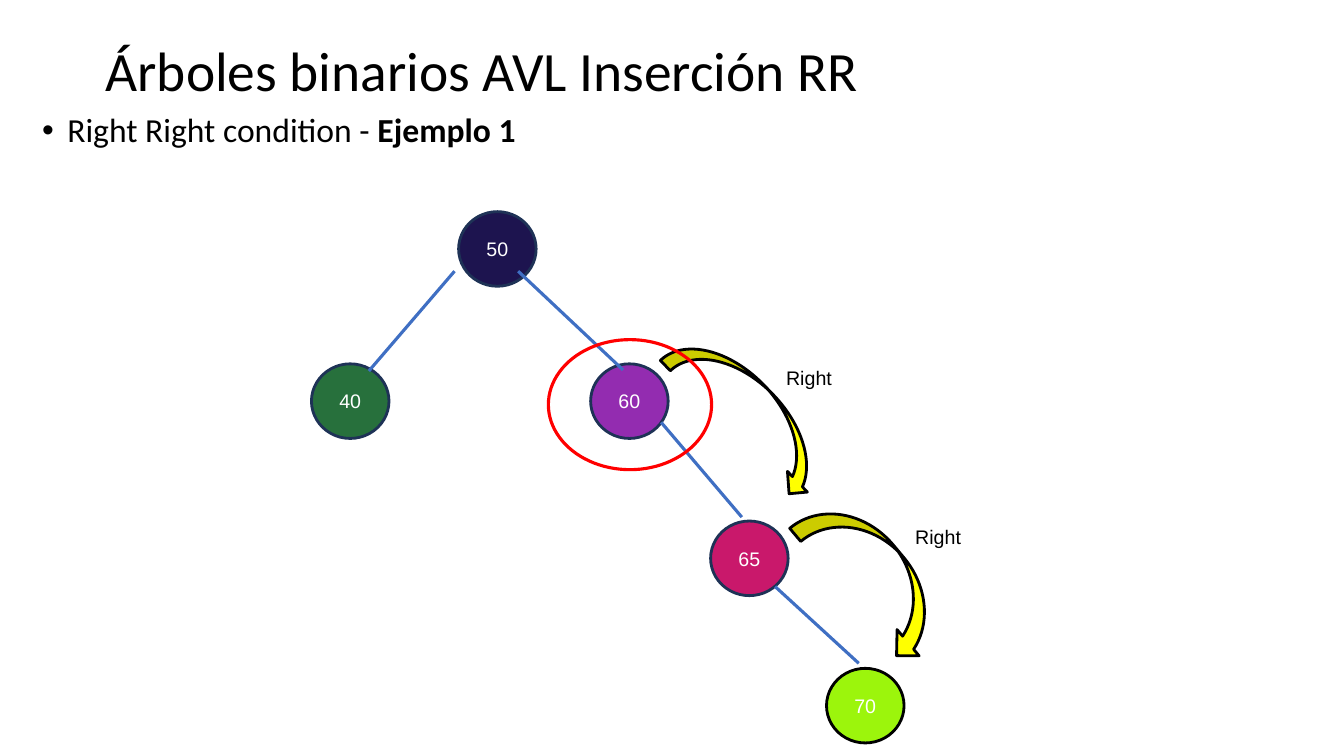
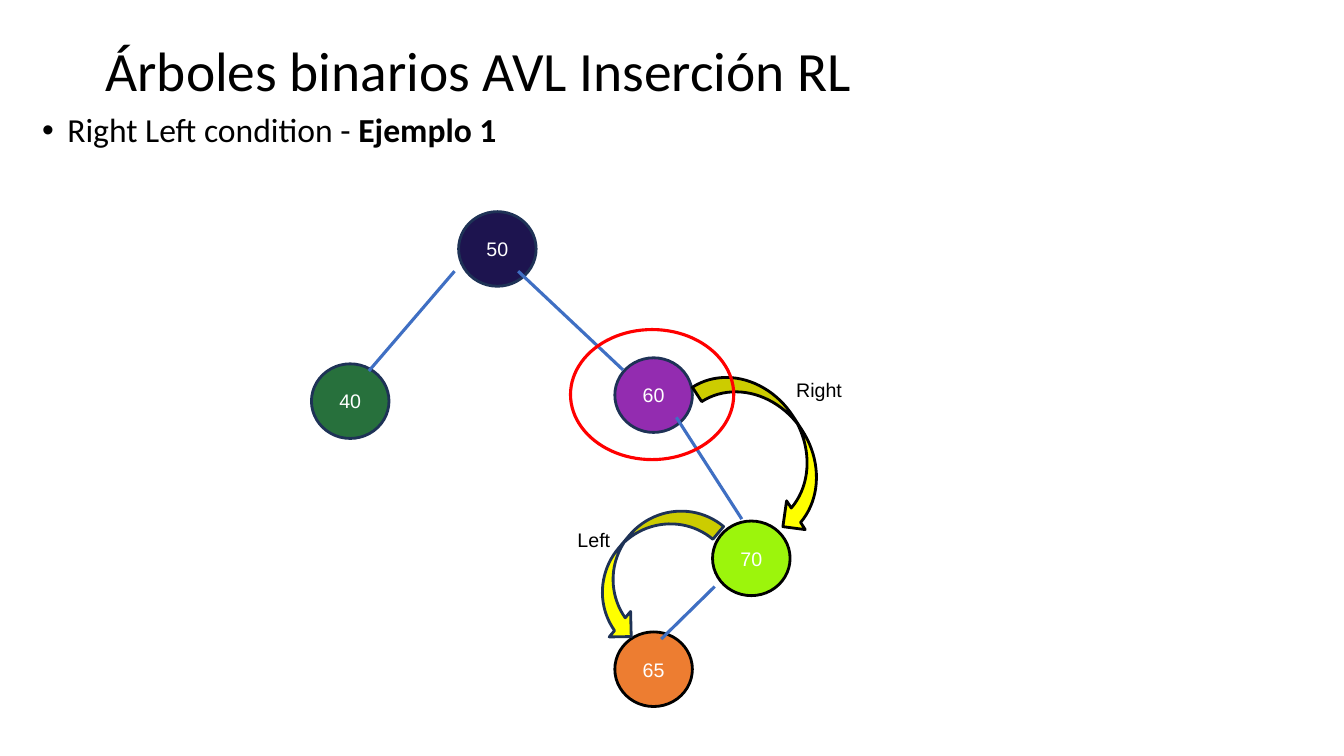
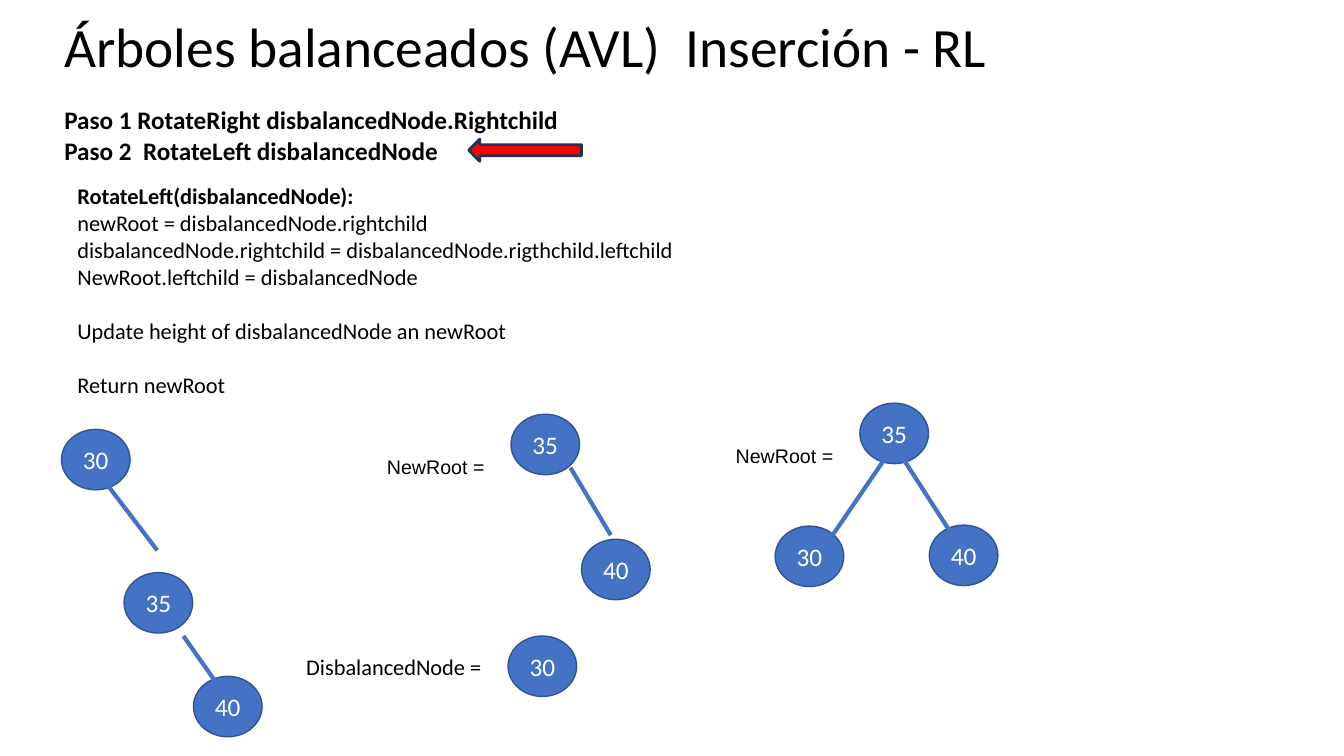
from pptx import Presentation
from pptx.dml.color import RGBColor
from pptx.enum.shapes import MSO_CONNECTOR, MSO_SHAPE
from pptx.enum.text import MSO_ANCHOR, PP_ALIGN
from pptx.oxml.ns import qn
from pptx.util import Pt
from lxml import etree

OVAL, NODE = MSO_SHAPE.OVAL, MSO_SHAPE.FLOWCHART_CONNECTOR
BACK, LEFT, UP = MSO_SHAPE.LEFT_ARROW, MSO_SHAPE.CURVED_LEFT_ARROW, MSO_SHAPE.CURVED_UP_ARROW
STRAIGHT = MSO_CONNECTOR.STRAIGHT
TOP, MIDDLE = MSO_ANCHOR.TOP, MSO_ANCHOR.MIDDLE
CENTER, JUSTIFY, START = PP_ALIGN.CENTER, PP_ALIGN.JUSTIFY, PP_ALIGN.LEFT

BLACK, WHITE, RED, YELLOW = "000000", "FFFFFF", "FF0000", "FFFF00"
NAVY, BLUE, RIM, EDGE = "1E3256", "4472C4", "31538F", "3F6FC3"
INDIGO, GREEN, PURPLE, PINK = "1D144F", "27703C", "932CB0", "C9186B"
LIME, ORANGE = "9CF50C", "ED7D31"
SANS, BODY = "Arial", "Calibri"
BIG, SMALL, RING = (55.4, 53.3), (49, 43.2), (116.6, 92.9)

BASE_NODES = [
    ("40", 222.5, 259.9, GREEN, NAVY),
    ("50", 327.6, 151.2, INDIGO, NAVY),
]
BASE_EDGES = [(324.7, 193.7, 263.5, 265), (370.1, 193.7, 445, 264.2)]

TREES = [
    {
        "title": "Árboles binarios AVL Inserción RR",
        "case": "Right Right condition - ",
        "nodes": [
            ("60", 421.9, 259.9, PURPLE, NAVY),
            ("65", 507.6, 372.2, PINK, NAVY),
            ("70", 590.4, 477.4, LIME, BLACK),
        ],
        "edges": [(472.3, 301.7, 529.9, 369.4), (553.7, 419, 613.4, 473.8)],
        "turns": [
            (LEFT, (515.5, 223.2, 41, 142.6), 316, BLACK),
            (LEFT, (600.5, 346.3, 49, 131), 320, BLACK),
        ],
        "ring": (391.7, 242.6),
        "labels": [("Right", 646.6, 371.5), ("Right", 554.4, 257.8)],
    },
    {
        "title": "Árboles binarios AVL Inserción RL",
        "case": "Right Left condition - ",
        "nodes": [
            ("60", 439.2, 255.6, PURPLE, NAVY),
            ("70", 509, 372.2, LIME, BLACK),
            ("65", 439.2, 451.4, ORANGE, BLACK),
        ],
        "edges": [(483.1, 298.1, 529.9, 370.8), (510.5, 419, 472.3, 456.5)],
        "turns": [
            (LEFT, (526.3, 252.7, 49, 131), 327, BLACK),
            (UP, (404.6, 380.9, 114.5, 47.5), 130, NAVY),
        ],
        "ring": (407.5, 235.4),
        "labels": [("Right", 561.6, 266.4), ("Left", 405.4, 373.7)],
    },
]

STEPS = ["Paso 1 RotateRight disbalancedNode.Rightchild", "Paso 2  RotateLeft disbalancedNode"]
CODE = [
    "RotateLeft(disbalancedNode):",
    "newRoot = disbalancedNode.rightchild",
    "disbalancedNode.rightchild = disbalancedNode.rigthchild.leftchild",
    "NewRoot.leftchild = disbalancedNode",
    "Update height of disbalancedNode an newRoot",
    "Return newRoot",
]
GAPS = {4: 19.5, 5: 19.5}
STAGE_NODES = [
    ("30", 43.9, 306.7), ("35", 88.6, 409), ("40", 138.2, 483.1),
    ("35", 365, 295.9), ("40", 415.4, 385.2), ("30", 362.9, 454.3),
    ("35", 614.2, 288), ("30", 553.7, 375.8), ("40", 663.8, 375.1),
]
STAGE_EDGES = [
    (73.4, 342, 112.3, 393.1), (131, 454.3, 158.4, 493.2),
    (407.5, 334.1, 436.3, 382.3),
    (633.6, 325.4, 594.7, 382.3), (645.1, 327.6, 685.4, 390.2),
]
STAGE_LABELS = [
    ("NewRoot =", 269.3, 321.1, 14, SANS),
    ("NewRoot =", 518.4, 313.2, 14, SANS),
    ("DisbalancedNode =", 211.7, 463, 16, BODY),
]


def rgb(code):
    return RGBColor.from_string(code)


def style(para, size, face, color=BLACK, bold=False):
    for run in para.runs:
        font = run.font
        font.size, font.name, font.bold = Pt(size), face, bold
        font.color.rgb = rgb(color)


def text(slide, lines, box, size, face=BODY, bold=False, anchor=TOP):
    frame = slide.shapes.add_textbox(*map(Pt, box)).text_frame
    frame.word_wrap = True
    frame.vertical_anchor = anchor
    frame.text = "\n".join(lines)
    for para in frame.paragraphs:
        para.alignment = START
        style(para, size, face, BLACK, bold)
    return frame.paragraphs


def title(slide, words, box):
    text(slide, [words], box, 39.6, anchor=MIDDLE)[0].line_spacing = 0.9


def bullet(slide, words, strong):
    para = text(slide, [words], (23, 77.8, 833.8, 43.9), 24)[0]
    para.alignment, para.line_spacing = JUSTIFY, 0.9
    props = para._p.get_or_add_pPr()
    props.set("marL", str(Pt(18)))
    props.set("indent", str(Pt(-18)))
    etree.SubElement(props, qn("a:buFont"), typeface=SANS)
    etree.SubElement(props, qn("a:buChar"), char="•")
    para.add_run().text = strong
    style(para, 24, BODY)
    para.runs[-1].font.bold = True


def shape(slide, kind, box, fill, rim, width=2, turn=0):
    item = slide.shapes.add_shape(kind, *map(Pt, box))
    item.shadow.inherit = False
    item.rotation = turn
    if fill:
        item.fill.solid()
        item.fill.fore_color.rgb = rgb(fill)
    else:
        item.fill.background()
    item.line.color.rgb = rgb(rim)
    item.line.width = Pt(width)
    return item


def node(slide, kind, key, box, fill, rim, width, size, face):
    frame = shape(slide, kind, box, fill, rim, width).text_frame
    frame.margin_left = frame.margin_right = 0
    frame.vertical_anchor = MIDDLE
    frame.text = key
    para = frame.paragraphs[0]
    para.alignment = CENTER
    style(para, size, face, WHITE)


def edge(slide, ends, color, width):
    item = slide.shapes.add_connector(STRAIGHT, *map(Pt, ends))
    item.line.color.rgb = rgb(color)
    item.line.width = Pt(width)
    etree.SubElement(item._element.spPr, qn("a:effectLst"))


def tree(slide, data):
    title(slide, data["title"], (68.4, 30.2, 825.8, 44.6))
    bullet(slide, data["case"], "Ejemplo 1")
    for key, x, y, fill, rim in BASE_NODES + data["nodes"]:
        node(slide, NODE, key, (x, y, *BIG), fill, rim, 2, 14, SANS)
    for ends in BASE_EDGES + data["edges"]:
        edge(slide, ends, EDGE, 2.25)
    for kind, box, turn, rim in data["turns"]:
        shape(slide, kind, box, YELLOW, rim, 2, turn)
    shape(slide, OVAL, (*data["ring"], *RING), None, RED, 2.25)
    for word, x, y in data["labels"]:
        text(slide, [word], (x, y, 58.3, 24.5), 14, SANS)


def stages(slide):
    title(slide, "Árboles balanceados (AVL)  Inserción - RL", (38.9, 10.8, 828, 49.7))
    text(slide, STEPS, (38.9, 71.3, 479.5, 140.4), 18, bold=True)
    code = text(slide, CODE, (48.2, 126.7, 478, 196.6), 16)
    code[0].runs[0].font.bold = True
    for row, gap in GAPS.items():
        code[row].space_before = Pt(gap)
    shape(slide, BACK, (334.8, 99.4, 80.6, 15.8), RED, NAVY)
    for key, x, y in STAGE_NODES:
        node(slide, OVAL, key, (x, y, *SMALL), BLUE, RIM, 1, 18, BODY)
    for ends in STAGE_EDGES:
        edge(slide, ends, BLUE, 3)
    for word, x, y, size, face in STAGE_LABELS:
        text(slide, [word], (x, y, 151.2, 25), size, face)


def main():
    deck = Presentation()
    deck.slide_width, deck.slide_height = Pt(960), Pt(540)
    blank = deck.slide_layouts[6]
    for data in TREES:
        tree(deck.slides.add_slide(blank), data)
    stages(deck.slides.add_slide(blank))
    deck.save("out.pptx")


if __name__ == "__main__":
    main()
